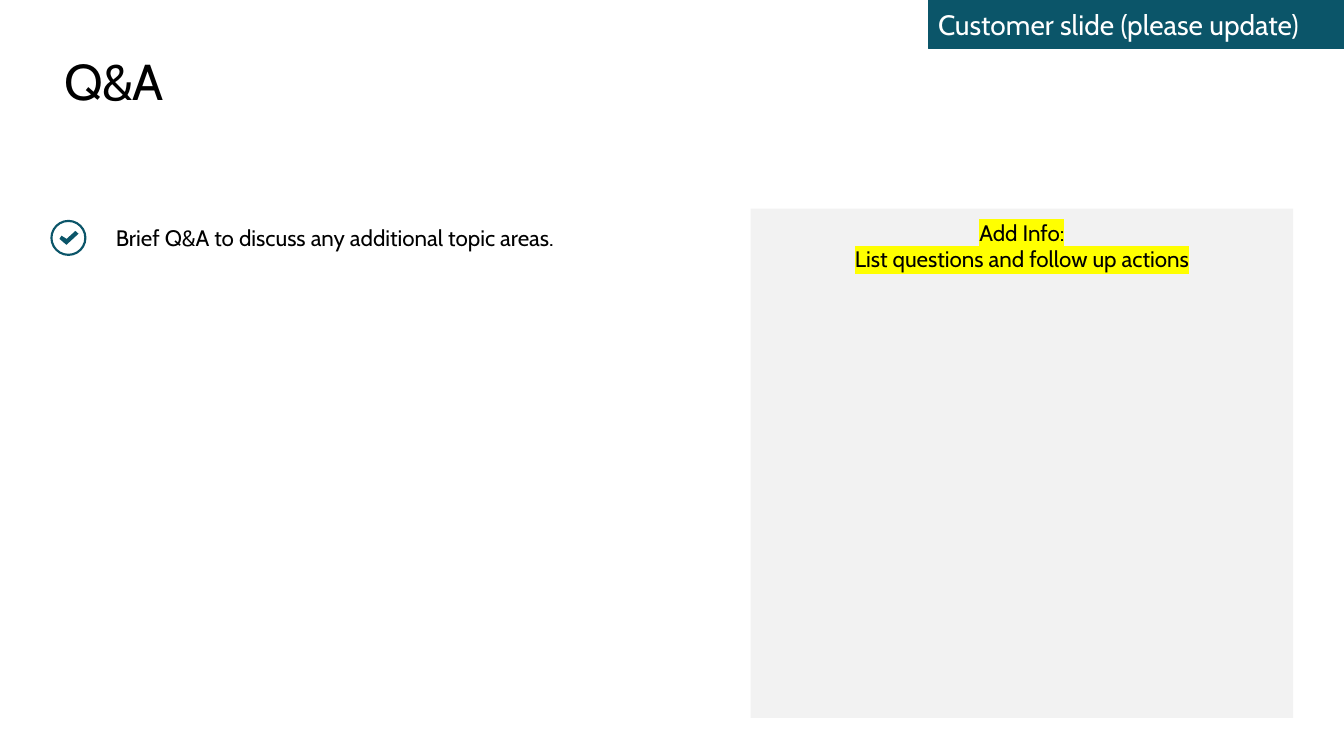
from lxml import etree
from pptx import Presentation
from pptx.dml.color import RGBColor
from pptx.enum.shapes import MSO_SHAPE as Shape
from pptx.enum.text import MSO_ANCHOR as Anchor, PP_ALIGN as Align
from pptx.oxml.ns import qn
from pptx.util import Cm, Pt

TEAL, GREY, BLACK, WHITE, YELLOW = "0B5569", "F2F2F2", "000000", "FFFFFF", "FFFF00"


def paint(shape, color):
    """Give a shape a flat fill with no line or shadow."""
    shape.shadow.inherit = False
    shape.fill.solid()
    shape.fill.fore_color.rgb = RGBColor.from_string(color)
    shape.line.fill.background()


def write(shape, lines, size, color, insets, anchor, align=Align.LEFT):
    """Fill a shape with paragraphs; insets are left, top, right, bottom in cm."""
    frame = shape.text_frame
    frame.word_wrap = True
    frame.vertical_anchor = anchor
    (frame.margin_left, frame.margin_top,
     frame.margin_right, frame.margin_bottom) = map(Cm, insets)
    frame.text = "\n".join(lines)
    for para in frame.paragraphs:
        para.alignment = align
        para.font.name = "Cabin"
        para.font.size = Pt(size)
        para.font.color.rgb = RGBColor.from_string(color)


deck = Presentation()
deck.slide_width, deck.slide_height = Cm(33.87), Cm(19.05)
slide = deck.slides.add_slide(deck.slide_layouts[6])
shapes = slide.shapes

# Title
title = shapes.add_textbox(Cm(1.63), Cm(1.27), Cm(30.61), Cm(1.55))
write(title, ["Q&A"], 36, BLACK, (0, 0, 0, 0), Anchor.TOP)
title.text_frame.paragraphs[0].runs[0].font._element.set("spc", "-50")

# Agenda point with its check mark
point = shapes.add_textbox(Cm(1.4), Cm(5.26), Cm(17.15), Cm(1.45))
write(point, ["Brief Q&A to discuss any additional topic areas."], 16, BLACK,
      (1.52, 0.13, 0.25, 0.13), Anchor.MIDDLE)

ring = shapes.add_shape(Shape.DONUT, Cm(1.27), Cm(5.54), Cm(0.91), Cm(0.91))
ring.adjustments[0] = 0.06
paint(ring, TEAL)

tick = [(1.9, 5.82), (1.68, 6.02), (1.55, 5.94), (1.5, 6.02),
        (1.65, 6.15), (1.68, 6.17), (1.73, 6.12), (1.98, 5.89)]
dots = [(Cm(x), Cm(y)) for x, y in tick]
pen = shapes.build_freeform(*dots[0])
pen.add_line_segments(dots[1:], close=True)
paint(pen.convert_to_shape(), TEAL)

# Panel for questions
panel = shapes.add_shape(Shape.RECTANGLE, Cm(18.92), Cm(5.26), Cm(13.67), Cm(12.83))
paint(panel, GREY)
write(panel, ["Add Info:", "List questions and follow up actions"], 16, BLACK,
      (0.25, 0.25, 0.25, 0.13), Anchor.TOP, Align.CENTER)
for para in panel.text_frame.paragraphs:
    mark = etree.SubElement(para.runs[0].font._element, qn("a:highlight"))
    etree.SubElement(mark, qn("a:srgbClr"), val=YELLOW)

# Corner banner
banner = shapes.add_shape(Shape.RECTANGLE, Cm(23.39), 0, Cm(10.48), Cm(1.22))
paint(banner, TEAL)
banner.line.color.rgb = RGBColor.from_string(TEAL)
banner.line.width = Pt(0.25)
write(banner, ["Customer slide (please update)"], 20, WHITE,
      (0.25, 0.13, 0.25, 0.13), Anchor.MIDDLE)

deck.save("out.pptx")
